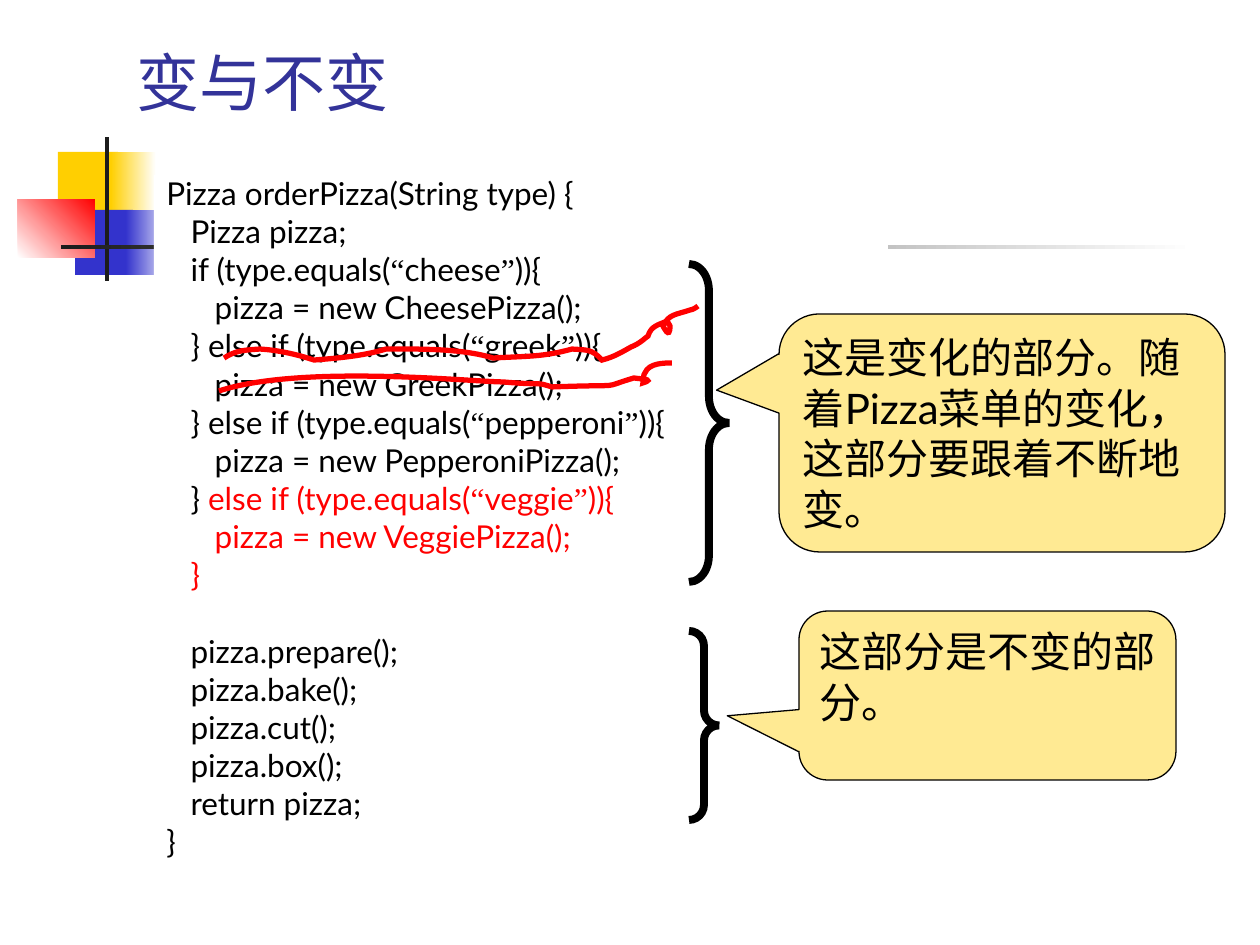
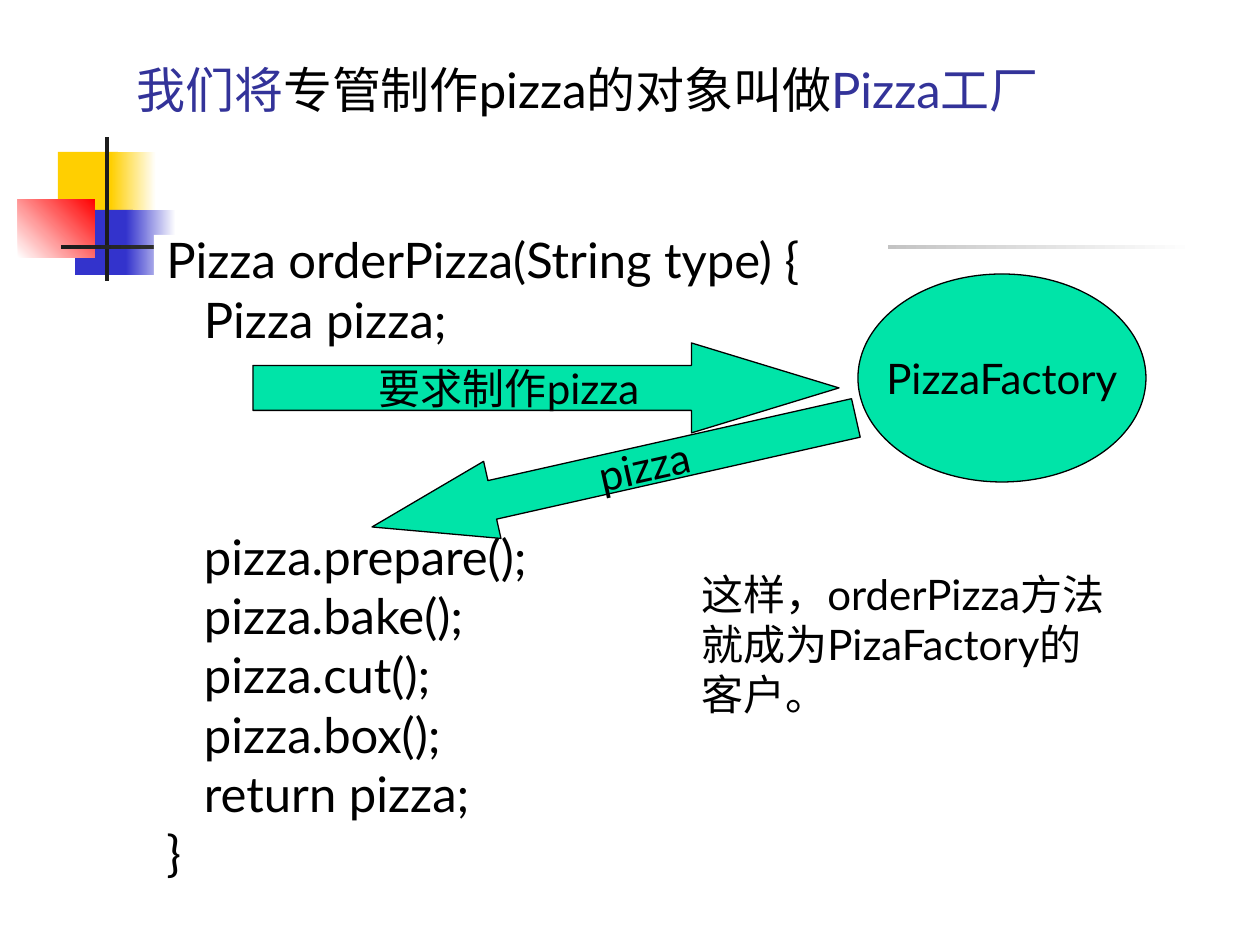
from itertools import groupby

from lxml.etree import SubElement
from pptx import Presentation
from pptx.dml.color import RGBColor
from pptx.enum.shapes import MSO_SHAPE
from pptx.enum.text import MSO_ANCHOR, PP_ALIGN
from pptx.oxml.ns import qn
from pptx.util import Emu, Pt

PX = 914400 / 126
BLACK, WHITE, RED = "000000", "FFFFFF", "FF0000"
NAVY, YELLOW, BLUE, CHARCOAL = "333399", "FFCF01", "3333CC", "1C1C1C"
CREAM, MINT = "FFEA93", "00E4A8"
QUOTES = "“”"

# Decoration of every slide: box, then a plain fill or (from, to, angle)
ORNAMENTS = [
    ((58, 152, 60, 65), YELLOW),
    ((111, 152, 45, 65), (YELLOW, WHITE, 0)),
    ((75, 210, 58, 65), BLUE),
    ((126, 210, 50, 65), (BLUE, WHITE, 0)),
    ((18, 199, 77, 59), (WHITE, RED, 45)),
    ((105, 137, 4, 144), CHARCOAL),
    ((61, 245, 1134, 4), (CHARCOAL, WHITE, 0)),
]


def draw(slide, preset, box, fill=None, line=None, adjustments=()):
    """Add a preset shape, or a text box when preset is None; box is in px."""
    place = [Emu(round(value * PX)) for value in box]
    if preset is None:
        return slide.shapes.add_textbox(*place)
    shape = slide.shapes.add_shape(preset, *place)
    shape.shadow.inherit = False
    for index, value in enumerate(adjustments):
        shape.adjustments[index] = value
    if isinstance(fill, tuple):
        *ends, angle = fill
        shape.fill.gradient()
        shape.fill.gradient_angle = angle
        for stop, color in zip(shape.fill.gradient_stops, ends):
            stop.color.rgb = RGBColor.from_string(color)
    elif fill:
        shape.fill.solid()
        shape.fill.fore_color.rgb = RGBColor.from_string(fill)
    else:
        shape.fill.background()
    if line:
        shape.line.color.rgb = RGBColor.from_string(BLACK)
        shape.line.width = Pt(line)
    else:
        shape.line.fill.background()
    return shape


def write(shape, lines, size, align=PP_ALIGN.LEFT, spacing=1.0, **frame_format):
    """Write lines of runs, each a string or (string, colour); an empty line widens the gap."""
    frame = shape.text_frame
    settings = {"word_wrap": True, "vertical_anchor": MSO_ANCHOR.TOP, **frame_format}
    for name, value in settings.items():
        setattr(frame, name, value)
    before = size / 4
    pitch = size * 1.2 * spacing + before
    gap = 0
    paragraph = frame.paragraphs[0]
    for number, line in enumerate(lines):
        if not line:
            gap += pitch
            continue
        if number:
            paragraph = frame.add_paragraph()
            paragraph.space_before = Pt(before + gap)
        gap = 0
        paragraph.alignment = align
        paragraph.line_spacing = spacing
        paragraph._p.get_or_add_pPr().set("hangingPunct", "0")
        for piece in line:
            text, color = (piece, BLACK) if isinstance(piece, str) else piece
            for quoted, letters in groupby(text, key=lambda letter: letter in QUOTES):
                run = paragraph.add_run()
                run.text = "".join(letters)
                run.font.name = "Times New Roman" if quoted else "Lato"
                run.font.size = Pt(size)
                run.font.color.rgb = RGBColor.from_string(color)


signature = [["Pizza orderPizza(String type) {"], ["   Pizza pizza;"]]
fixed_steps = [
    ["   pizza.prepare();"],
    ["   pizza.bake();"],
    ["   pizza.cut();"],
    ["   pizza.box();"],
    ["   return pizza;"],
    ["}"],
]
varying_steps = [
    ["   if (type.equals(“cheese”)){"],
    ["      pizza = new CheesePizza();"],
    ["   } else if (type.equals(“greek”)){"],
    ["      pizza = new GreekPizza();"],
    ["   } else if (type.equals(“pepperoni”)){"],
    ["      pizza = new PepperoniPizza();"],
    ["   } ", ("else if (type.equals(“veggie”)){", RED)],
    [("      pizza = new VeggiePizza();", RED)],
    [("   }", RED)],
]

# Title runs, title size, top of the code, code lines, code size
PAGES = [
    ([("变与不变", NAVY)], 36, 175,
     [*signature, *varying_steps, [], *fixed_steps], 18),
    ([("我们将", NAVY), "专管制作pizza的对象叫做", ("Pizza工厂", NAVY)], 28, 235,
     [*signature, [], [], [], *fixed_steps], 28),
]

prs = Presentation()
prs.slide_width = Emu(round(1260 * PX))
prs.slide_height = Emu(round(945 * PX))

for title, title_size, code_top, code, code_size in PAGES:
    slide = prs.slides.add_slide(prs.slide_layouts[6])
    for box, fill in ORNAMENTS:
        draw(slide, MSO_SHAPE.RECTANGLE, box, fill)
    heading = draw(slide, None, (124, 55, 1074, 70))
    write(heading, [title], title_size, vertical_anchor=MSO_ANCHOR.BOTTOM)
    listing = draw(slide, MSO_SHAPE.RECTANGLE, (154, code_top, 734, 903 - code_top), WHITE)
    write(listing, code, code_size, spacing=0.8)

change, factory = prs.slides

# Slide 1: what changes and what stays
REMARKS = [
    ((779, 314, 446, 238), (-0.64, -0.18, 0.17),
     "这是变化的部分。随着Pizza菜单的变化，这部分要跟着不断地变。"),
    ((799, 611, 377, 169), (-0.69, 0.12, 0.17), "这部分是不变的部分。"),
]
for box, pointer, remark in REMARKS:
    callout = draw(change, MSO_SHAPE.ROUNDED_RECTANGULAR_CALLOUT, box, CREAM, 0.75, pointer)
    write(callout, [[remark]], 24,
          margin_left=Emu(round(12 * PX)), margin_right=Emu(round(8 * PX)))

# Strike-through strokes: a start, then cubic curves of three points each
STROKES = [
    [(219, 391),
     (301, 364), (474, 382), (503, 382),
     (549, 386), (532, 381), (552, 387),
     (631, 384), (597, 389), (634, 378),
     (639, 379), (656, 379), (643, 383),
     (644, 379), (643, 375), (645, 373),
     (649, 363), (664, 363), (672, 363)],
    [(224, 358),
     (236, 350), (246, 350), (260, 349),
     (277, 350), (296, 354), (314, 360),
     (339, 358), (363, 356), (386, 349),
     (416, 349), (461, 348), (493, 358),
     (528, 356), (543, 357), (572, 349),
     (587, 350), (592, 349), (602, 360),
     (614, 357), (622, 352), (631, 347),
     (636, 345), (639, 343), (643, 340),
     (644, 339), (648, 336), (648, 336),
     (651, 326), (658, 325), (667, 321),
     (668, 323), (670, 325), (670, 326),
     (670, 341), (663, 326), (663, 326),
     (669, 314), (675, 315), (690, 310),
     (693, 310), (698, 306), (698, 306)],
]
marks = []
for start, *rest in STROKES:
    builder = change.shapes.build_freeform(*start, scale=PX)
    builder.add_line_segments(rest, close=False)
    stroke = builder.convert_to_shape()
    stroke.shadow.inherit = False
    stroke.fill.background()
    stroke.line.color.rgb = RGBColor.from_string(RED)
    stroke.line.width = Pt(3)
    outline = next(stroke._element.iter(qn("a:path")))
    segments = outline.findall(qn("a:lnTo"))
    for first in range(0, len(segments), 3):
        curve = SubElement(outline, qn("a:cubicBezTo"))
        for segment in segments[first:first + 3]:
            curve.append(segment[0])
            outline.remove(segment)
    marks.append(stroke)

for box, curl in [((689, 264, 40, 318), 0.66), ((689, 631, 30, 189), 0.5)]:
    marks.append(draw(change, MSO_SHAPE.RIGHT_BRACE, box, line=4.5, adjustments=(curl, 0.5)))

for mark in marks:
    SubElement(next(mark._element.iter(qn("a:ln"))), qn("a:miter"), lim="800000")

# Slide 2: the method asks the factory for a pizza
EXCHANGE = [
    (MSO_SHAPE.OVAL, (858, 274, 288, 208), (), 0, "PizzaFactory"),
    (MSO_SHAPE.RIGHT_ARROW, (253, 343, 586, 90), (0.5, 1.64), 0, "要求制作pizza"),
    (MSO_SHAPE.LEFT_ARROW, (366, 433, 496, 79), (0.5, 1.56), 347.3, "pizza"),
]
for preset, box, adjustments, rotation, label in EXCHANGE:
    party = draw(factory, preset, box, MINT, 0.75, adjustments)
    party.rotation = rotation
    write(party, [[label]], 24, PP_ALIGN.CENTER,
          word_wrap=False, vertical_anchor=MSO_ANCHOR.MIDDLE)

conclusion = draw(factory, None, (689, 562, 446, 164))
write(conclusion, [["这样，orderPizza方法就成为PizaFactory的客户。"]], 24)

prs.save("out.pptx")
